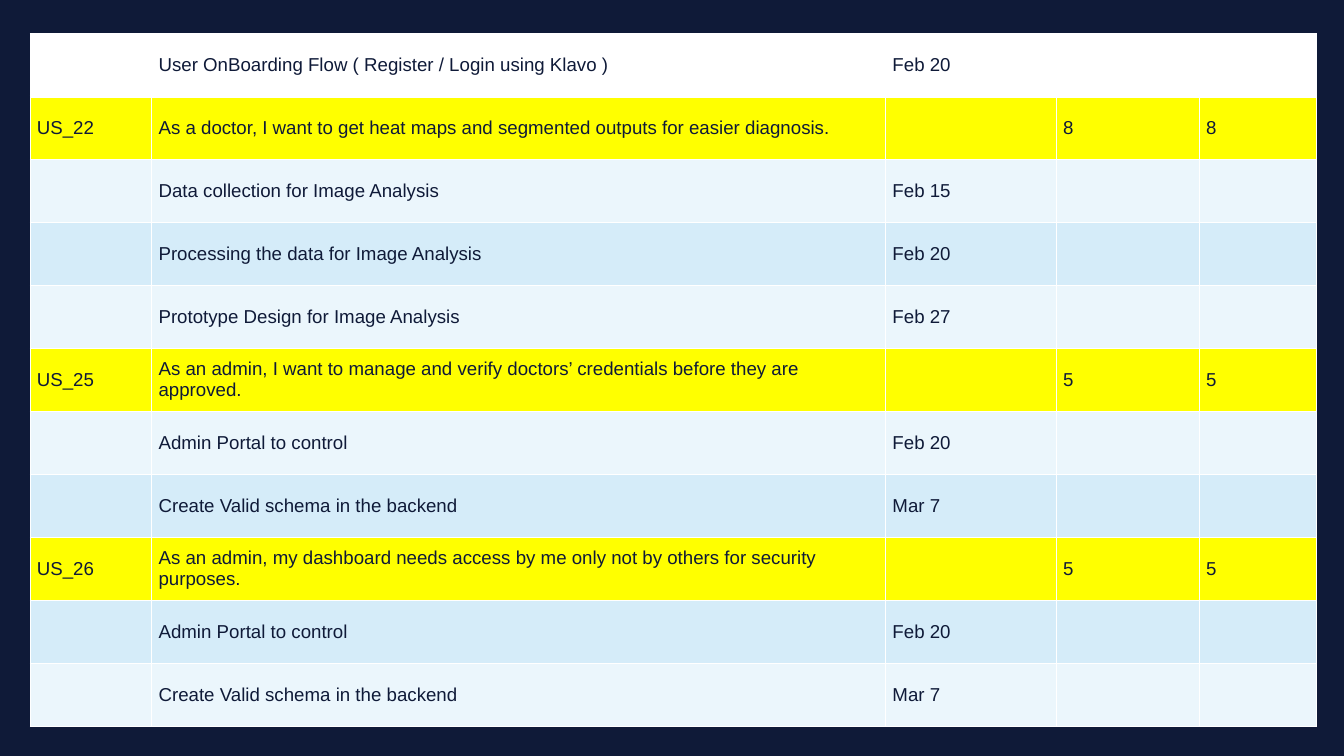
from lxml.etree import SubElement
from pptx import Presentation
from pptx.dml.color import RGBColor
from pptx.enum.text import MSO_ANCHOR as Anchor
from pptx.oxml.ns import qn
from pptx.util import Cm, Pt

NAVY, WHITE, YELLOW = "0F1A38", "FFFFFF", "FFFF00"
BANDS = ("EBF6FC", "D5ECF9")
COLUMN_WIDTHS = (4.6, 27.74, 6.45, 5.41, 4.42)
ROW_HEIGHT = 2.38
BACKLOG = (
    ("", "User OnBoarding Flow ( Register / Login using Klavo )", "Feb 20", "", ""),
    ("US_22", "As a doctor, I want to get heat maps and segmented outputs for easier diagnosis.", "", "8", "8"),
    ("", "Data collection for Image Analysis", "Feb 15", "", ""),
    ("", "Processing the data for Image Analysis", "Feb 20", "", ""),
    ("", "Prototype Design for Image Analysis", "Feb 27", "", ""),
    ("US_25", "As an admin, I want to manage and verify doctors’ credentials before they are approved.", "", "5", "5"),
    ("", "Admin Portal to control", "Feb 20", "", ""),
    ("", "Create Valid schema in the backend", "Mar 7", "", ""),
    ("US_26", "As an admin, my dashboard needs access by me only not by others for security purposes.", "", "5", "5"),
    ("", "Admin Portal to control", "Feb 20", "", ""),
    ("", "Create Valid schema in the backend", "Mar 7", "", ""),
)


def paint(fill, color):
    """Give a fill one solid colour."""
    fill.solid()
    fill.fore_color.rgb = RGBColor.from_string(color)


def write(tf, text, size=20, font="Arial", color=NAVY):
    """Write one formatted paragraph into a text frame."""
    p = tf.paragraphs[0]
    p.font.size = Pt(size)
    if text:
        r = p.add_run()
        r.text = text
        r.font.size, r.font.name = Pt(size), font
        r.font.color.rgb = RGBColor.from_string(color)


def add_borders(cell, bottom=1, color=WHITE):
    """Draw the four borders of a cell."""
    tc_pr = cell._tc.get_or_add_tcPr()
    for side, width in (("L", 1), ("R", 1), ("T", 1), ("B", bottom)):
        ln = SubElement(tc_pr, qn(f"a:ln{side}"), w=str(Pt(width)))
        SubElement(SubElement(ln, qn("a:solidFill")), qn("a:srgbClr"), val=color)


def row_color(index, story_id):
    """Choose the fill of a row from its place and kind."""
    if index == 0:
        return WHITE
    return YELLOW if story_id else BANDS[index % 2]


def add_backlog(slide, left, top):
    """Add the table of user stories and their tasks."""
    table = slide.shapes.add_table(
        len(BACKLOG), len(COLUMN_WIDTHS), Cm(left), Cm(top),
        Cm(sum(COLUMN_WIDTHS)), Cm(ROW_HEIGHT * len(BACKLOG))).table
    table.first_row = table.horz_banding = False
    for column, width in zip(table.columns, COLUMN_WIDTHS):
        column.width = Cm(width)
    for i, (row, texts) in enumerate(zip(table.rows, BACKLOG)):
        row.height = Cm(ROW_HEIGHT)
        for cell, text in zip(row.cells, texts):
            add_borders(cell, bottom=1 if i else 3)
            paint(cell.fill, row_color(i, texts[0]))
            cell.vertical_anchor = Anchor.MIDDLE
            write(cell.text_frame, text)


def main():
    """Build the backlog slide and save it."""
    prs = Presentation()
    prs.slide_width, prs.slide_height = Cm(50.8), Cm(28.58)
    s = prs.slides.add_slide(prs.slide_layouts[6])
    paint(s.background.fill, NAVY)
    add_backlog(s, 1.14, 1.27)
    prs.save("out.pptx")


if __name__ == "__main__":
    main()
